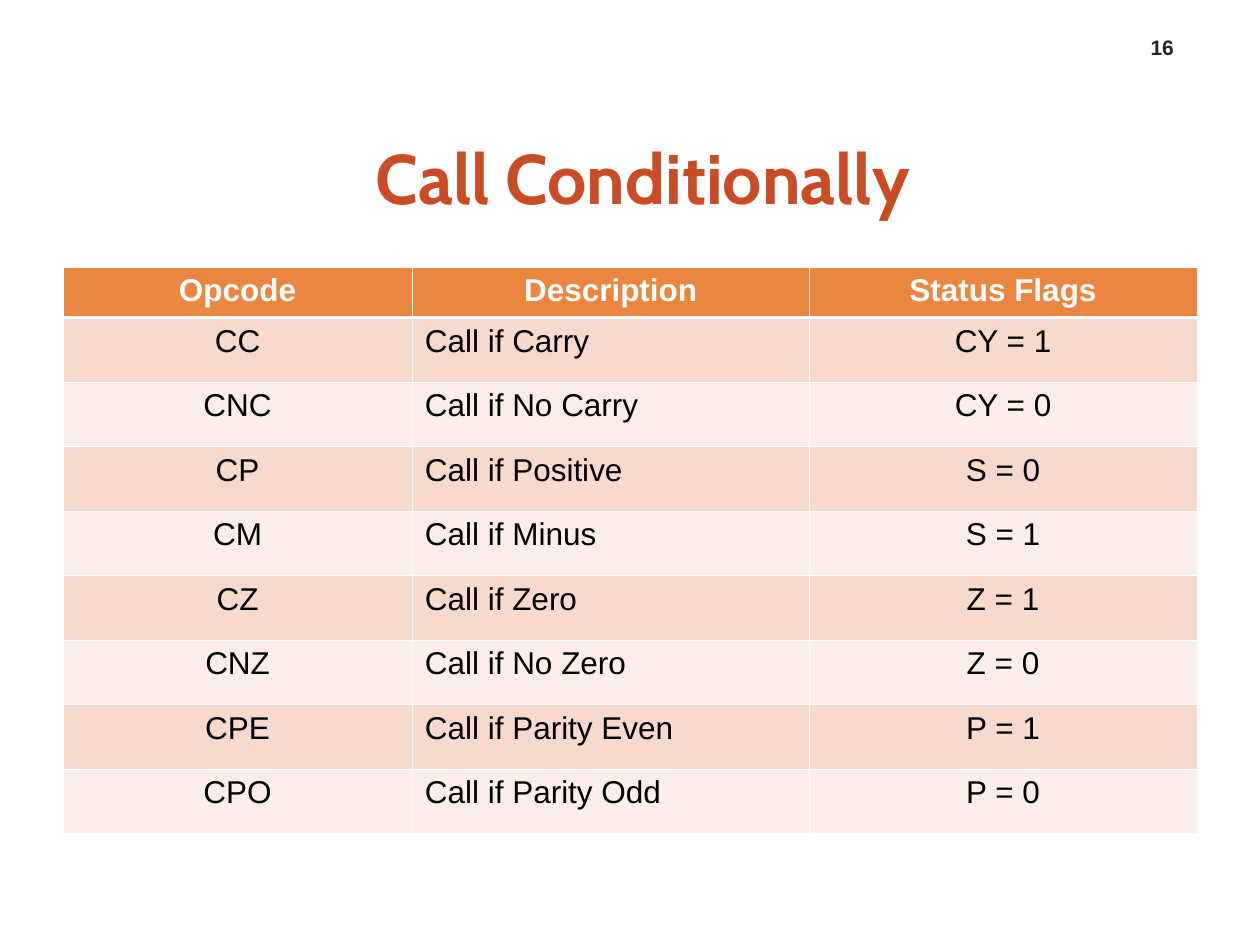
from lxml.etree import SubElement
from pptx import Presentation
from pptx.dml.color import RGBColor
from pptx.enum.text import MSO_ANCHOR as Anchor, PP_ALIGN as Align
from pptx.oxml.ns import qn
from pptx.util import Cm, Pt

TITLE_RED = RGBColor(0xC9, 0x4C, 0x25)
HEADER_ORANGE = RGBColor(0xEA, 0x86, 0x40)
BAND_DARK = RGBColor(0xF7, 0xD9, 0xCE)
BAND_LIGHT = RGBColor(0xFB, 0xED, 0xE8)
NUMBER_GREY = RGBColor(0x26, 0x26, 0x26)
BLACK = RGBColor(0, 0, 0)
WHITE = RGBColor(0xFF, 0xFF, 0xFF)

THIN, THICK = Pt(0.45), Pt(1.47)
COLUMN_WIDTHS = [Cm(7.04), Cm(8), Cm(7.82)]
HEADER_HEIGHT, ROW_HEIGHT = Cm(1.02), Cm(1.3)
HEADINGS = ("Opcode", "Description", "Status Flags")
CALLS = [
    ("CC", "Call if Carry", "CY = 1"),
    ("CNC", "Call if No Carry", "CY = 0"),
    ("CP", "Call if Positive", "S = 0"),
    ("CM", "Call if Minus", "S = 1"),
    ("CZ", "Call if Zero", "Z = 1"),
    ("CNZ", "Call if No Zero", "Z = 0"),
    ("CPE", "Call if Parity Even", "P = 1"),
    ("CPO", "Call if Parity Odd", "P = 0"),
]


def write(frame, text, size, color, bold=False, align=Align.CENTER, face="Arial"):
    paragraph = frame.paragraphs[0]
    paragraph.text = text
    paragraph.alignment = align
    font = paragraph.font
    font.name, font.size, font.bold = face, Pt(size), bold
    font.color.rgb = color
    return paragraph


def set_borders(cell, top, bottom):
    """Draw white borders, thin at the sides; they must precede the cell's fill."""
    properties = cell._tc.get_or_add_tcPr()
    sides = {"a:lnL": THIN, "a:lnR": THIN, "a:lnT": top, "a:lnB": bottom}
    for position, (side, width) in enumerate(sides.items()):
        line = SubElement(properties, qn(side), w=str(int(width)))
        SubElement(SubElement(line, qn("a:solidFill")), qn("a:srgbClr"), val=str(WHITE))
        properties.insert(position, line)


def add_title(slide):
    title = slide.shapes.title
    title.left, title.top, title.width, title.height = Cm(1.27), Cm(1.96), Cm(22.86), Cm(3.18)
    frame = title.text_frame
    frame.margin_left = frame.margin_right = 0
    frame.vertical_anchor = Anchor.MIDDLE
    paragraph = write(frame, "Call Conditionally", 40, TITLE_RED, bold=True, face="Cabin")
    properties = paragraph._p.get_or_add_pPr()
    properties.set("marL", str(int(Cm(0.51))))
    properties.set("indent", "0")


def add_call_table(slide):
    rows = [HEADINGS, *CALLS]
    heights = [HEADER_HEIGHT] + [ROW_HEIGHT] * len(CALLS)
    table = slide.shapes.add_table(
        len(rows), len(HEADINGS), Cm(1.27), Cm(5.38), sum(COLUMN_WIDTHS), sum(heights)
    ).table
    for column, width in zip(table.columns, COLUMN_WIDTHS):
        column.width = width
    for r, (values, height) in enumerate(zip(rows, heights)):
        table.rows[r].height = height
        is_header = r == 0
        band = HEADER_ORANGE if is_header else BAND_DARK if r % 2 else BAND_LIGHT
        for c, value in enumerate(values):
            cell = table.cell(r, c)
            is_description = c == 1 and not is_header
            write(cell.text_frame, value, 18, WHITE if is_header else BLACK, bold=is_header,
                  align=Align.LEFT if is_description else Align.CENTER)
            cell.fill.solid()
            cell.fill.fore_color.rgb = band
            set_borders(cell, top=THICK if r == 1 else THIN, bottom=THICK if is_header else THIN)


def add_page_number(slide):
    frame = slide.shapes.add_textbox(Cm(22.73), Cm(0.48), Cm(1.4), Cm(0.84)).text_frame
    frame.word_wrap = True
    frame.vertical_anchor = Anchor.BOTTOM
    write(frame, "16", 12, NUMBER_GREY, bold=True)


def main():
    deck = Presentation()
    deck.slide_width, deck.slide_height = Cm(25.4), Cm(19.05)
    slide = deck.slides.add_slide(deck.slide_layouts.get_by_name("Title Only"))
    add_title(slide)
    add_call_table(slide)
    add_page_number(slide)
    deck.save("out.pptx")


if __name__ == "__main__":
    main()
